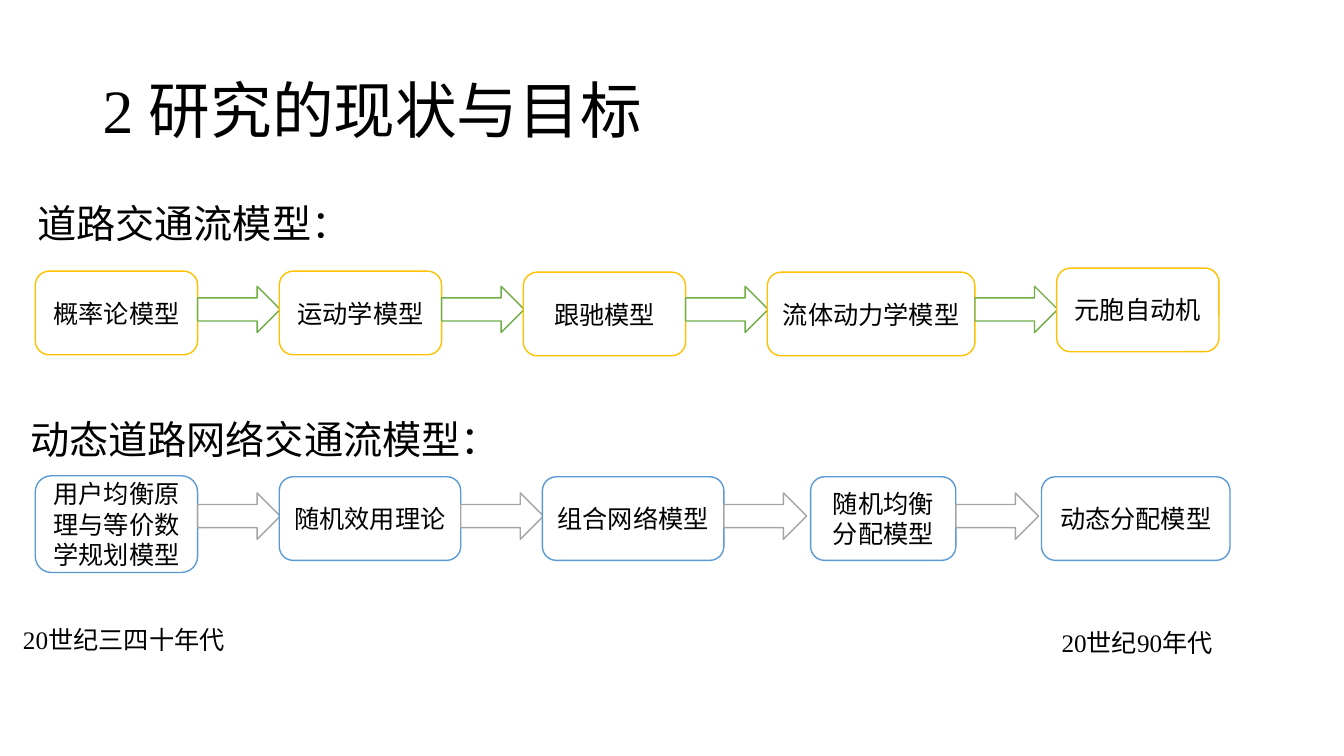
from dataclasses import dataclass

from pptx import Presentation
from pptx import util as u
from pptx.dml.color import RGBColor
from pptx.enum import shapes, text
from pptx.oxml.ns import qn
from lxml import etree

COLS, ROWS = 1333, 750
CELL = u.Inches(0.01)


@dataclass(frozen=True)
class Theme:
    ink: str = "000000"
    paper: str = "FFFFFF"
    gold: str = "FFC000"
    green: str = "70AD47"
    blue: str = "5B9BD5"
    gray: str = "A5A5A5"
    cjk: str = "Noto Sans CJK SC"
    latin: str = "Times New Roman"
    title: int = 44
    head: int = 28
    body: int = 18


T = Theme()


def grid(box):
    return [CELL * n for n in box]


def write(frame, *runs, size=T.body, align=None, anchor=None, space=None):
    frame.word_wrap = True
    frame.vertical_anchor = anchor
    para = frame.paragraphs[0]
    para.alignment = align
    para.line_spacing = space
    for words, face in runs:
        run = para.add_run()
        run.text = words
        run.font.size = u.Pt(size)
        run.font.name = face
        run.font.color.rgb = RGBColor.from_string(T.ink)
        east = etree.SubElement(run.font._element, qn("a:ea"))
        east.set("typeface", T.cjk)


def label(page, box, *runs, **form):
    write(page.shapes.add_textbox(*grid(box)).text_frame, *runs, **form)


def block(page, kind, box, color):
    shape = page.shapes.add_shape(kind, *grid(box))
    shape.shadow.inherit = False
    shape.fill.solid()
    shape.fill.fore_color.rgb = RGBColor.from_string(T.paper)
    shape.line.color.rgb = RGBColor.from_string(color)
    shape.line.width = u.Pt(1)
    return shape


def chain(page, box, steps, edge, tint, drop):
    left, top, _, high = box
    for i, (words, wide, gap, dy, grow) in enumerate(steps):
        node = block(page, shapes.MSO_SHAPE.ROUNDED_RECTANGLE,
                     (left, top + dy, wide, high + grow), edge)
        write(node.text_frame, (words, T.cjk), align=text.PP_ALIGN.CENTER,
              anchor=text.MSO_ANCHOR.MIDDLE)
        left += wide
        if i < len(steps) - 1:
            block(page, shapes.MSO_SHAPE.RIGHT_ARROW,
                  (left, top + drop, 82, 46), tint)
        left += gap


def title(page, box):
    label(page, box, ("2 ", T.latin), ("研究的现状与目标", T.cjk),
          size=T.title, anchor=text.MSO_ANCHOR.MIDDLE, space=0.9)


def road(page, box):
    left, top, wide, _ = box
    label(page, (left - 8, top - 76, 297, 57), ("道路交通流模型：", T.cjk),
          size=T.head)
    steps = [
        ("概率论模型", 161, 81, 0, 0),
        ("运动学模型", 161, 81, 0, 0),
        ("跟驰模型", 161, 81, 1, 0),
        ("流体动力学模型", 206, 81, 1, 0),
        ("元胞自动机", 161, 0, -3, 0),
    ]
    chain(page, box, steps, T.gold, T.green, 15)


def network(page, box):
    left, top, wide, _ = box
    label(page, (left - 15, top - 66, 510, 57),
          ("动态道路网络交通流模型：", T.cjk), size=T.head)
    steps = [
        ("用户均衡原理与等价数学规划模型", 161, 81, -1, 13),
        ("随机效用理论", 180, 81, 0, 0),
        ("组合网络模型", 180, 86, 0, 0),
        ("随机均衡分配模型", 144, 85, 0, 0),
        ("动态分配模型", 187, 0, 0, 0),
    ]
    chain(page, box, steps, T.blue, T.gray, 16)


def era(page, box):
    left, top, wide, high = box
    label(page, (left, top, 224, high), ("20世纪三四十年代", T.latin))
    label(page, (left + wide - 172, top + 3, 172, high),
          ("20世纪90年代", T.latin))


def main():
    deck = Presentation()
    deck.slide_width, deck.slide_height = grid((COLS, ROWS))
    page = deck.slides.add_slide(deck.slide_layouts[6])
    title(page, (92, 40, 1150, 145))
    road(page, (35, 269, 1175, 83))
    network(page, (35, 473, 1185, 83))
    era(page, (13, 614, 1202, 40))
    deck.save("out.pptx")


if __name__ == "__main__":
    main()
